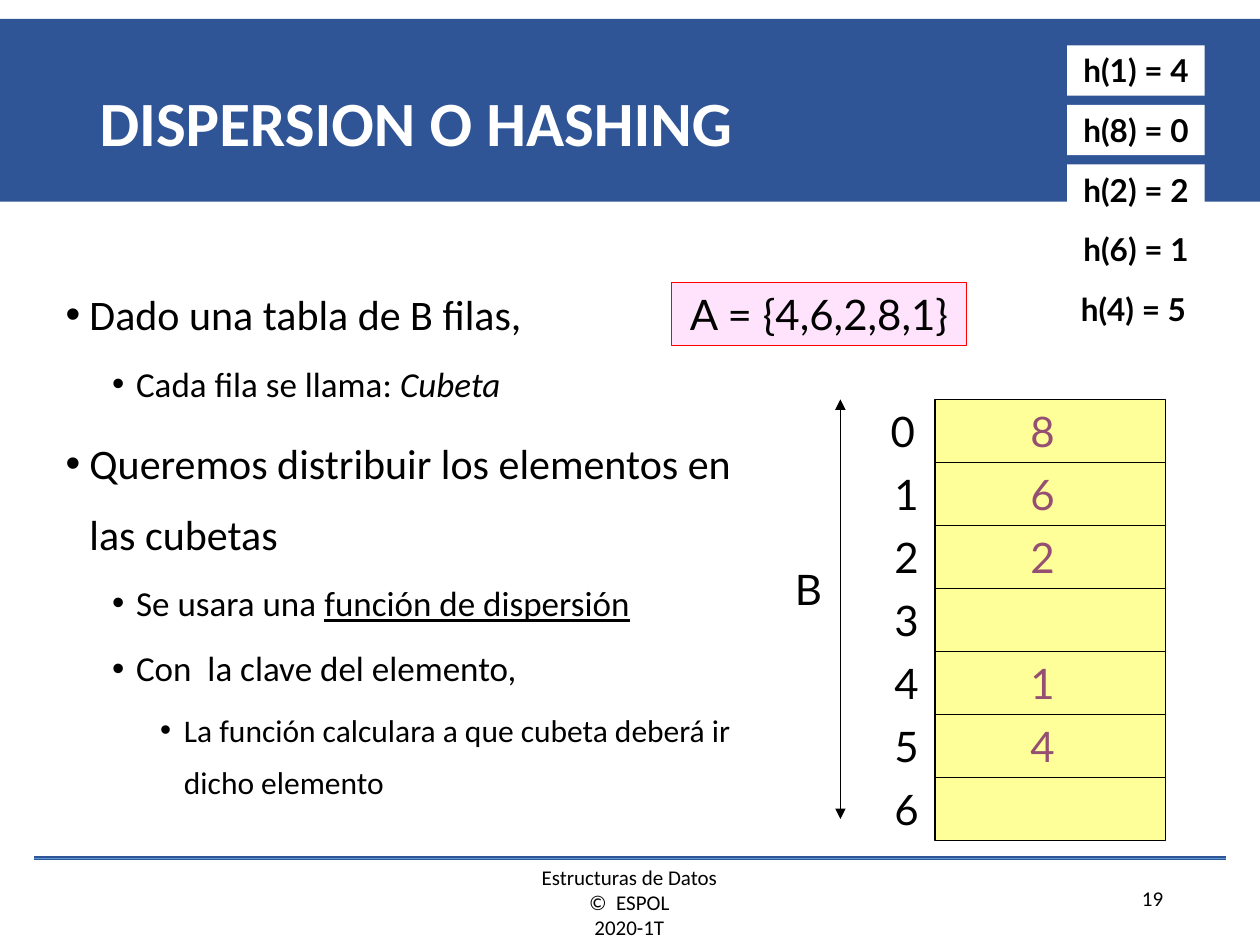
from lxml import etree
from pptx import Presentation
from pptx.dml.color import RGBColor
from pptx.enum import shapes, text
from pptx.oxml import ns
from pptx.util import Inches, Pt

BLACK = RGBColor(0, 0, 0)
WHITE = RGBColor(255, 255, 255)
NAVY = RGBColor(0x2F, 0x55, 0x97)
SKY = RGBColor(0x5B, 0x9B, 0xD5)
PINK = RGBColor(0xFF, 0xE3, 0xFD)
RED = RGBColor(255, 0, 0)
YELLOW = RGBColor(0xFF, 0xFF, 0x99)
PLUM = RGBColor(0x95, 0x4F, 0x72)

TITLE = "DISPERSION O HASHING"
BULLETS = [
    (0, [("Dado una tabla de B filas,", {})]),
    (1, [("Cada fila se llama: ", {}), ("Cubeta", {"italic": True})]),
    (0, [("Queremos distribuir los elementos en las cubetas", {})]),
    (1, [("Se usara una ", {}), ("función de dispersión", {"underline": True})]),
    (1, [("Con  la clave del elemento,", {})]),
    (2, [("La función calculara a que cubeta deberá ir dicho elemento", {})]),
]
LEVELS = [
    {"size": 24, "before": 7.5, "indent": 0.19},
    {"size": 20, "before": 3.7, "indent": 0.56},
    {"size": 18, "before": 3.7, "indent": 0.94},
]
HASHES = [("h(1) = 4", 8.47), ("h(8) = 0", 8.47), ("h(2) = 2", 8.47), ("h(6) = 1", 8.47), ("h(4) = 5", 8.45)]
BUCKETS = ["8", "6", "2", "", "1", "4", ""]
FOOTER = ["Estructuras de Datos", "©  ESPOL", "2020-1T"]

ROW = 0.5
TABLE_TOP = 3.17
HASH_TOP, HASH_STEP = 0.36, 0.4725
LABEL = {"size": Pt(24), "name": "Lato"}
HASH = {"size": Pt(18), "name": "Lato", "bold": True}
SMALL = {"size": Pt(12), "name": "Calibri"}


def style(font, color, formats):
    for key, value in formats.items():
        setattr(font, key, value)
    font.color.rgb = color


def write(shape, lines, formats, color=BLACK, align=text.PP_ALIGN.CENTER, wrap=False):
    frame = shape.text_frame
    frame.word_wrap = wrap
    frame.vertical_anchor = text.MSO_ANCHOR.TOP
    for number, line in enumerate(lines):
        para = frame.add_paragraph() if number else frame.paragraphs[0]
        para.alignment = align
        span = para.add_run()
        span.text = line
        style(span.font, color, formats)


def add_text(page, place, lines, formats, **options):
    box = page.shapes.add_textbox(*map(Inches, place))
    write(box, lines, formats, **options)


def add_box(page, place, fill, line=None):
    box = page.shapes.add_shape(shapes.MSO_SHAPE.RECTANGLE, *map(Inches, place))
    box.shadow.inherit = False
    box.fill.solid()
    box.fill.fore_color.rgb = fill
    if line is None:
        box.line.fill.background()
    else:
        box.line.color.rgb = line
        box.line.width = Pt(0.75)
    return box


def add_line(page, ends, color, width, arrows=False):
    line = page.shapes.add_connector(shapes.MSO_CONNECTOR.STRAIGHT, *map(Inches, ends))
    line.line.color.rgb = color
    line.line.width = Pt(width)
    if arrows:
        for end in ("a:headEnd", "a:tailEnd"):
            etree.SubElement(line.line._get_or_add_ln(), ns.qn(end), type="triangle")
    etree.SubElement(line._element.spPr, ns.qn("a:effectLst"))


def place_holder(holder, place, anchor):
    holder.left, holder.top, holder.width, holder.height = map(Inches, place)
    frame = holder.text_frame
    frame.word_wrap = True
    frame.auto_size = text.MSO_AUTO_SIZE.NONE
    frame.vertical_anchor = anchor
    return frame


def fill_title(holder):
    frame = place_holder(holder, (0.69, 0.4, 8.63, 1.2), text.MSO_ANCHOR.MIDDLE)
    para = frame.paragraphs[0]
    para.alignment = text.PP_ALIGN.LEFT
    para.line_spacing = 0.9
    span = para.add_run()
    span.text = TITLE
    style(span.font, WHITE, {"size": Pt(36), "name": "Calibri", "bold": True})


def fill_body(holder):
    frame = place_holder(holder, (0.42, 2.08, 5.83, 4.5), text.MSO_ANCHOR.TOP)
    for number, (level, spans) in enumerate(BULLETS):
        look = LEVELS[level]
        para = frame.add_paragraph() if number else frame.paragraphs[0]
        para.level = level
        para.line_spacing = 1.4
        para.space_before = Pt(look["before"] if number else 0)
        props = para._p.get_or_add_pPr()
        props.set("marL", str(Inches(look["indent"])))
        props.set("indent", str(-Inches(0.19)))
        color = etree.SubElement(props, ns.qn("a:buClr"))
        etree.SubElement(color, ns.qn("a:srgbClr"), val=str(BLACK))
        etree.SubElement(props, ns.qn("a:buFont"), typeface="Arial")
        etree.SubElement(props, ns.qn("a:buChar"), char="•")
        for words, extra in spans:
            span = para.add_run()
            span.text = words
            style(span.font, BLACK, {"size": Pt(look["size"]), "name": "Calibri", **extra})


def add_buckets(page):
    for index, value in enumerate(BUCKETS):
        top = TABLE_TOP + index * ROW
        add_box(page, (7.42, top, 1.83, ROW), YELLOW, BLACK)
        add_text(page, (7 if index else 6.97, top, 0.39, ROW), [str(index)], LABEL)
        if value:
            add_text(page, (8.08, top, 0.39, ROW), [value], LABEL, color=PLUM)


def main():
    deck = Presentation()
    deck.slide_width, deck.slide_height = Inches(10), Inches(7.5)
    page = deck.slides.add_slide(deck.slide_layouts[1])
    title, body = page.placeholders
    band = add_box(page, (0, 0.15, 10, 1.45), NAVY)
    title._element.addprevious(band._element)
    fill_title(title)
    fill_body(body)

    add_text(page, (3.25, 6.81, 3.49, 0.7), FOOTER, SMALL, wrap=True)
    add_text(page, (7.2, 6.98, 2.13, 0.31), ["19"], SMALL, align=text.PP_ALIGN.RIGHT, wrap=True)
    for color, width in ((NAVY, 2.25), (SKY, 0.5)):
        add_line(page, (0.27, 6.81, 9.73, 6.81), color, width)

    write(add_box(page, (5.33, 2.24, 2.34, ROW), PINK, RED), ["A = {4,6,2,8,1}"], LABEL)
    add_line(page, (6.67, TABLE_TOP, 6.67, 6.5), BLACK, 0.75, arrows=True)
    add_text(page, (6.21, 4.42, 0.41, ROW), ["B"], LABEL)
    add_buckets(page)
    for row, (words, left) in enumerate(HASHES):
        write(add_box(page, (left, HASH_TOP + row * HASH_STEP, 1.09, 0.4), WHITE), [words], HASH)
    deck.save("out.pptx")


if __name__ == "__main__":
    main()
